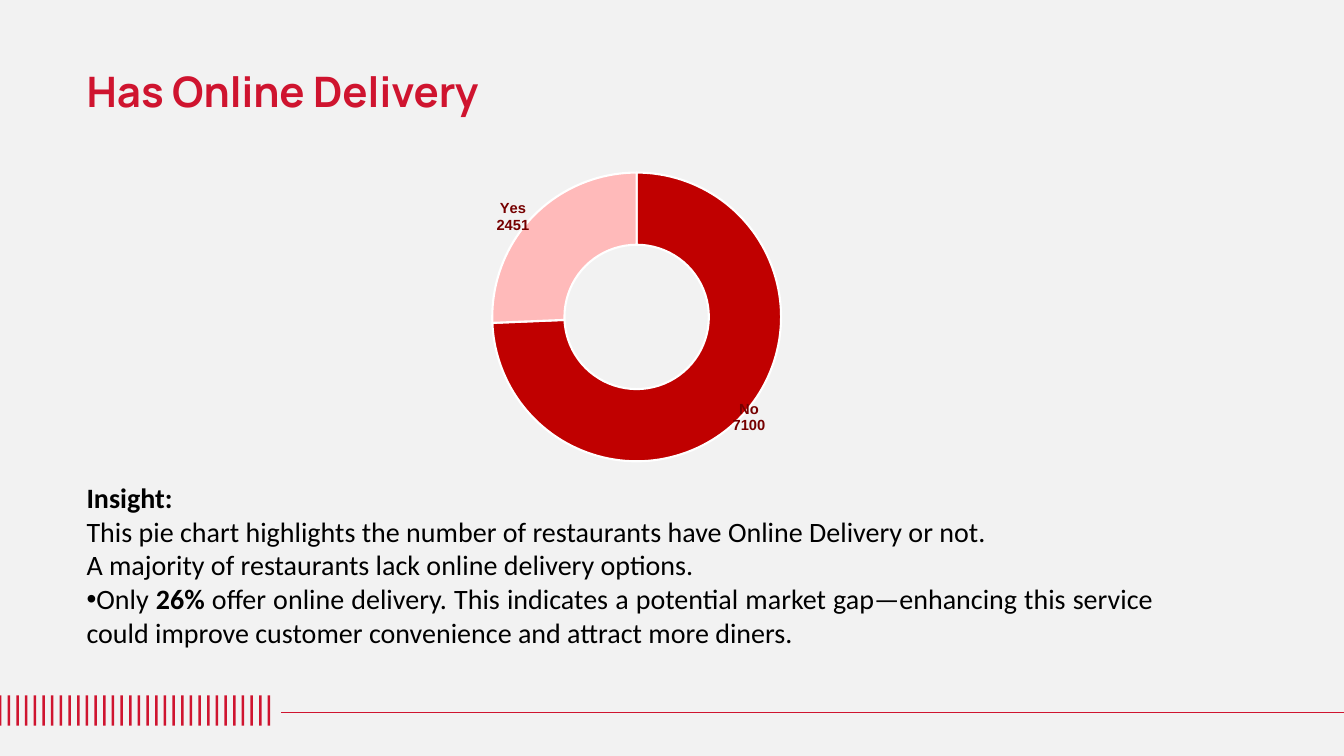
from copy import deepcopy
from dataclasses import dataclass

from lxml import etree
from pptx import Presentation
from pptx.chart.data import CategoryChartData
from pptx.dml.color import RGBColor
from pptx.enum.chart import XL_CHART_TYPE
from pptx.enum.shapes import MSO_CONNECTOR, MSO_SHAPE
from pptx.enum.text import MSO_ANCHOR, MSO_AUTO_SIZE, PP_ALIGN
from pptx.oxml import parse_xml
from pptx.oxml.ns import nsdecls, qn
from pptx.slide import Slide
from pptx.util import Inches, Pt

DOUGHNUT = XL_CHART_TYPE.DOUGHNUT
STRAIGHT = MSO_CONNECTOR.STRAIGHT
RECTANGLE = MSO_SHAPE.RECTANGLE
MIDDLE, TOP = MSO_ANCHOR.MIDDLE, MSO_ANCHOR.TOP
NO_AUTOFIT = MSO_AUTO_SIZE.NONE
LEFT, JUSTIFY = PP_ALIGN.LEFT, PP_ALIGN.JUSTIFY

COLORS = {
    "background": "F2F2F2",
    "accent": "CF142F",
    "text": "000000",
    "label": "760000",
    "slice_edge": "FFFFFF",
}
STRIPE_COUNT = 32
STRIPE_PITCH = 0.086


@dataclass
class Answer:
    name: str
    restaurants: int
    color: str
    label_dx: float
    label_dy: float


@dataclass
class Run:
    text: str
    bold: bool = False


@dataclass
class Line:
    runs: list[Run]
    bullet: bool = False


ANSWERS = [
    Answer("No", 7100, "C00000", 0.09, 0.08),
    Answer("Yes", 2451, "FFBABA", -0.12, -0.08),
]
INSIGHT = [
    Line([Run("Insight:", True)]),
    Line([Run("This pie chart highlights the number of restaurants have Online Delivery or not.")]),
    Line([Run("A majority of restaurants lack online delivery options.")]),
    Line([
        Run("Only "),
        Run("26%", True),
        Run(" offer online delivery. This indicates a potential market gap—enhancing "
            "this service could improve customer convenience and attract more diners."),
    ], bullet=True),
]


def rgb(name: str) -> RGBColor:
    return RGBColor.from_string(COLORS[name])


def set_font(font, family: str, size: float, color: str, bold: bool) -> None:
    font.name, font.size, font.bold = family, Pt(size), bold
    font.color.rgb = rgb(color)


def add_footer(slide: Slide) -> None:
    for index in range(STRIPE_COUNT):
        stripe = slide.shapes.add_shape(
            RECTANGLE, Inches(-0.01 + index * STRIPE_PITCH), Inches(6.9),
            Inches(0.025), Inches(0.3))
        stripe.shadow.inherit = False
        stripe.fill.solid()
        stripe.fill.fore_color.rgb = rgb("accent")
        stripe.line.fill.background()
    rule = slide.shapes.add_connector(
        STRAIGHT, Inches(2.79), Inches(7.07), Inches(13.33), Inches(7.07))
    rule.line.color.rgb = rgb("accent")
    rule.line.width = Pt(0.75)
    etree.SubElement(rule._element.spPr, qn("a:effectLst"))


def add_title(slide: Slide) -> None:
    title = slide.shapes.title
    title.left, title.top = Inches(0.76), Inches(0.65)
    title.width, title.height = Inches(9.77), Inches(0.56)
    frame = title.text_frame
    frame.auto_size = NO_AUTOFIT
    frame.vertical_anchor = MIDDLE
    paragraph = frame.paragraphs[0]
    paragraph.alignment = LEFT
    paragraph.line_spacing = 0.9
    run = paragraph.add_run()
    run.text = "Has Online Delivery"
    set_font(run.font, "Manrope", 30, "accent", True)


def manual_layout(x: float, y: float, plot_size: str = "") -> etree._Element:
    return parse_xml(
        f'<c:layout {nsdecls("c")}><c:manualLayout>{plot_size and EDGE_MODES}'
        f'<c:x val="{x}"/><c:y val="{y}"/>{plot_size}</c:manualLayout></c:layout>')


EDGE_MODES = ('<c:layoutTarget val="inner"/><c:xMode val="edge"/>'
              '<c:yMode val="edge"/>')


def add_delivery_chart(slide: Slide) -> None:
    data = CategoryChartData()
    data.categories = [answer.name for answer in ANSWERS]
    data.add_series("Series 1", [answer.restaurants for answer in ANSWERS])
    chart = slide.shapes.add_chart(
        DOUGHNUT, Inches(4.43), Inches(1.57), Inches(3.77), Inches(3.15), data).chart
    chart.has_legend = False
    chart.has_title = False
    set_font(chart.font, "Arial", 10, "text", False)
    plot = chart.plots[0]
    plot.vary_by_categories = True
    plot._element.find(qn("c:holeSize")).set("val", "60")

    plot_area = plot._element.getparent()
    for old_layout in plot_area.findall(qn("c:layout")):
        plot_area.remove(old_layout)
    plot_area.insert(0, manual_layout(
        0.12, 0.045, '<c:w val="0.76"/><c:h val="0.91"/>'))

    series = plot.series[0]
    labels = series.data_labels
    labels.show_value = True
    labels.show_category_name = True
    set_font(labels.font, "Arial", 10.5, "label", True)
    label_list = labels._element
    separator = parse_xml(f'<c:separator {nsdecls("c")}>\n</c:separator>')
    label_list.find(qn("c:showBubbleSize")).addnext(separator)
    shared = [deepcopy(child) for child in label_list
              if child.tag != qn("c:showLeaderLines")]

    for index, answer in enumerate(ANSWERS):
        slice_format = series.points[index].format
        slice_format.fill.solid()
        slice_format.fill.fore_color.rgb = RGBColor.from_string(answer.color)
        slice_format.line.color.rgb = rgb("slice_edge")
        slice_format.line.width = Pt(1.5)
        label = parse_xml(f'<c:dLbl {nsdecls("c")}><c:idx val="{index}"/></c:dLbl>')
        label.append(manual_layout(answer.label_dx, answer.label_dy))
        label.extend(deepcopy(shared))
        label_list.insert(index, label)


def add_insight(slide: Slide) -> None:
    frame = slide.shapes.add_textbox(
        Inches(0.76), Inches(4.72), Inches(10.78), Inches(2.09)).text_frame
    frame.word_wrap = True
    frame.vertical_anchor = TOP
    for index, line in enumerate(INSIGHT):
        paragraph = frame.add_paragraph() if index else frame.paragraphs[0]
        paragraph.alignment = JUSTIFY
        if line.bullet:
            properties = paragraph._p.get_or_add_pPr()
            properties.set("marL", "0")
            properties.set("indent", "0")
            etree.SubElement(properties, qn("a:buFont"), typeface="Arial")
            etree.SubElement(properties, qn("a:buChar"), char="•")
        for part in line.runs:
            run = paragraph.add_run()
            run.text = part.text
            set_font(run.font, "Calibri", 20, "text", part.bold)


def main() -> None:
    presentation = Presentation()
    presentation.slide_width = Inches(13.33)
    presentation.slide_height = Inches(7.5)
    slide = presentation.slides.add_slide(presentation.slide_layouts[5])
    slide.background.fill.solid()
    slide.background.fill.fore_color.rgb = rgb("background")
    add_footer(slide)
    add_title(slide)
    add_delivery_chart(slide)
    add_insight(slide)
    presentation.save("out.pptx")


if __name__ == "__main__":
    main()
